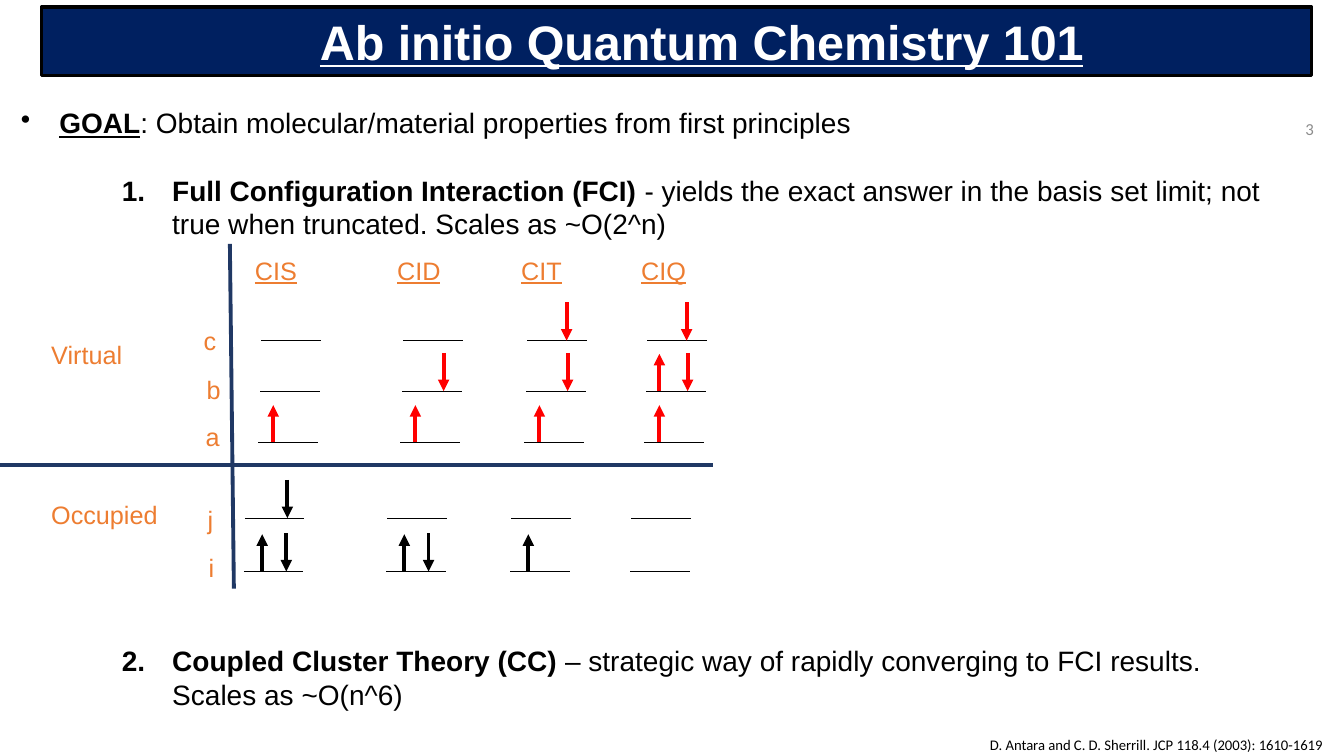
from dataclasses import dataclass

from pptx import Presentation
from pptx.dml.color import RGBColor
from pptx.enum.shapes import MSO_CONNECTOR as Link
from pptx.enum.text import MSO_ANCHOR as Anchor, MSO_AUTO_SIZE as Fit, PP_ALIGN as Align
from pptx.oxml.ns import qn
from pptx.util import Pt
from lxml.etree import SubElement as Sub

PX = 9144
BLACK, WHITE, RED, GRAY = "000000", "FFFFFF", "FF0000", "8C8C8C"
NAVY, BLUE, ORANGE = "002060", "203864", "ED7D31"


@dataclass
class Level:
    name: str
    y: int
    shift: int
    up: int
    down: int
    color: str
    tag_x: int
    tag_y: int


@dataclass
class Column:
    name: str
    x: int
    spins: str


@dataclass
class Point:
    lead: str
    rest: str
    mark: str
    value: str
    level: int
    left: int
    hang: int
    gap: int


@dataclass
class Label:
    text: str
    x: int
    y: int
    wide: int
    under: bool = False


LEVELS = [
    Level("c", 338, 16, 28, 55, RED, 192, 318),
    Level("b", 388, 15, 28, 56, RED, 195, 366),
    Level("a", 439, 13, 28, 56, RED, 194, 413),
    Level("j", 514, 0, 17, 42, BLACK, 196, 495),
    Level("i", 567, -1, 17, 41, BLACK, 197, 543),
]
COLUMNS = [
    Column("CIS", 243, "a+ j- i+ i-"),
    Column("CID", 384, "a+ b- i+ i-"),
    Column("CIT", 507, "a+ b- c- i+"),
    Column("CIQ", 626, "a+ b+ b- c-"),
]
POINTS = [
    Point("GOAL", ": Obtain molecular/material properties from first principles",
          "buChar", "•", 0, 38, 38, 0),
    Point("Full Configuration Interaction (FCI) ",
          "- yields the exact answer in the basis set limit; "
          "not true when truncated. Scales as ~O(2^n)",
          "buAutoNum", "arabicPeriod", 1, 150, 50, 24),
    Point("Coupled Cluster Theory (CC) ",
          "– strategic way of rapidly converging to FCI results. Scales as ~O(n^6)",
          "buAutoNum", "arabicPeriod", 1, 150, 50, 288),
]
LABELS = [
    Label("Virtual", 41, 332, 134),
    Label("Occupied", 41, 490, 134),
    *(Label(v.name, v.tag_x, v.tag_y, 28) for v in LEVELS),
    *(Label(c.name, c.x, 248, 81, True) for c in COLUMNS),
]


def paint(item, color: str) -> None:
    item.rgb = RGBColor.from_string(color)


def style(font, size: float, color: str, face: str = "Arial") -> None:
    font.size, font.name = Pt(size), face
    paint(font.color, color)


def place(shape, x: int, y: int, wide: int, high: int) -> None:
    shape.left, shape.top, shape.width, shape.height = (n * PX for n in (x, y, wide, high))


def indent(para, left: int, hang: int):
    props = para._p.get_or_add_pPr()
    props.set("marL", str(left * PX))
    props.set("indent", str(-hang * PX))
    return props


def frame(slide, x: int, y: int, wide: int, high: int):
    box = slide.shapes.add_textbox(*(n * PX for n in (x, y, wide, high)))
    box.text_frame.word_wrap = True
    return box.text_frame


def write(slide, text: str, x: int, y: int, wide: int, high: int,
          size: float, color: str, face: str = "Arial"):
    body = frame(slide, x, y, wide, high)
    para = body.paragraphs[0]
    para.text = text
    style(para.font, size, color, face)
    return body


def draw(slide, x1: int, y1: int, x2: int, y2: int,
         color: str, size: float, head: bool = False) -> None:
    line = slide.shapes.add_connector(Link.STRAIGHT, *(n * PX for n in (x1, y1, x2, y2)))
    paint(line.line.color, color)
    line.line.width = Pt(size)
    props = line._element.spPr
    if head:
        Sub(props.find(qn("a:ln")), qn("a:tailEnd"), type="triangle")
    Sub(props, qn("a:effectLst"))


def add_title(slide) -> None:
    title = slide.shapes.title
    place(title, 41, 7, 1260, 68)
    title.fill.solid()
    paint(title.fill.fore_color, NAVY)
    paint(title.line.color, BLACK)
    title.line.width = Pt(2.25)
    body = title.text_frame
    body.auto_size, body.vertical_anchor = Fit.NONE, Anchor.MIDDLE
    para = body.paragraphs[0]
    para.text = "Ab initio Quantum Chemistry 101"
    para.alignment = Align.CENTER
    indent(para, 81, 31)
    style(para.font, 34.6, WHITE)
    para.font.bold = para.font.underline = True


def add_points(slide) -> None:
    body = frame(slide, 11, 68, 1277, 680)
    body.margin_top = 37 * PX
    for n, point in enumerate(POINTS):
        para = body.add_paragraph() if n else body.paragraphs[0]
        para.level = point.level
        props = indent(para, point.left, point.hang)
        key = "char" if point.mark == "buChar" else "type"
        Sub(props, qn("a:" + point.mark), {key: point.value})
        para.line_spacing = Pt(24)
        if point.gap:
            para.space_before = Pt(point.gap)
        style(para.font, 20, BLACK)
        lead = para.add_run()
        lead.text = point.lead
        lead.font.bold = True
        if not n:
            lead.font.underline = True
        para.add_run().text = point.rest


def add_chart(slide) -> None:
    draw(slide, 0, 461, 707, 461, BLUE, 2.75)
    draw(slide, 232, 584, 228, 242, BLUE, 2.75)
    for col in COLUMNS:
        for lev in LEVELS:
            x = col.x + lev.shift
            draw(slide, x, lev.y, x + 59, lev.y, BLACK, 0.5)
            if lev.name + "+" in col.spins:
                x = col.x + lev.up
                draw(slide, x, lev.y, x, lev.y - 37, lev.color, 2.75, True)
            if lev.name + "-" in col.spins:
                x = col.x + lev.down
                draw(slide, x, lev.y - 38, x, lev.y, lev.color, 2.75, True)
    for tag in LABELS:
        body = write(slide, tag.text, tag.x, tag.y, tag.wide, 40, 18, ORANGE)
        if tag.under:
            body.paragraphs[0].font.underline = True


def main() -> None:
    deck = Presentation()
    deck.slide_width, deck.slide_height = 1333 * PX, 750 * PX
    slide = deck.slides.add_slide(deck.slide_layouts[5])
    add_title(slide)
    add_points(slide)
    add_chart(slide)
    page = write(slide, "3", 1013, 108, 300, 40, 12, GRAY, "Calibri")
    page.vertical_anchor = Anchor.MIDDLE
    page.paragraphs[0].alignment = Align.RIGHT
    write(slide, "D. Antara and C. D. Sherrill. JCP 118.4 (2003): 1610-1619",
          972, 725, 361, 25, 10.5, BLACK, "Calibri")
    deck.save("out.pptx")


if __name__ == "__main__":
    main()
